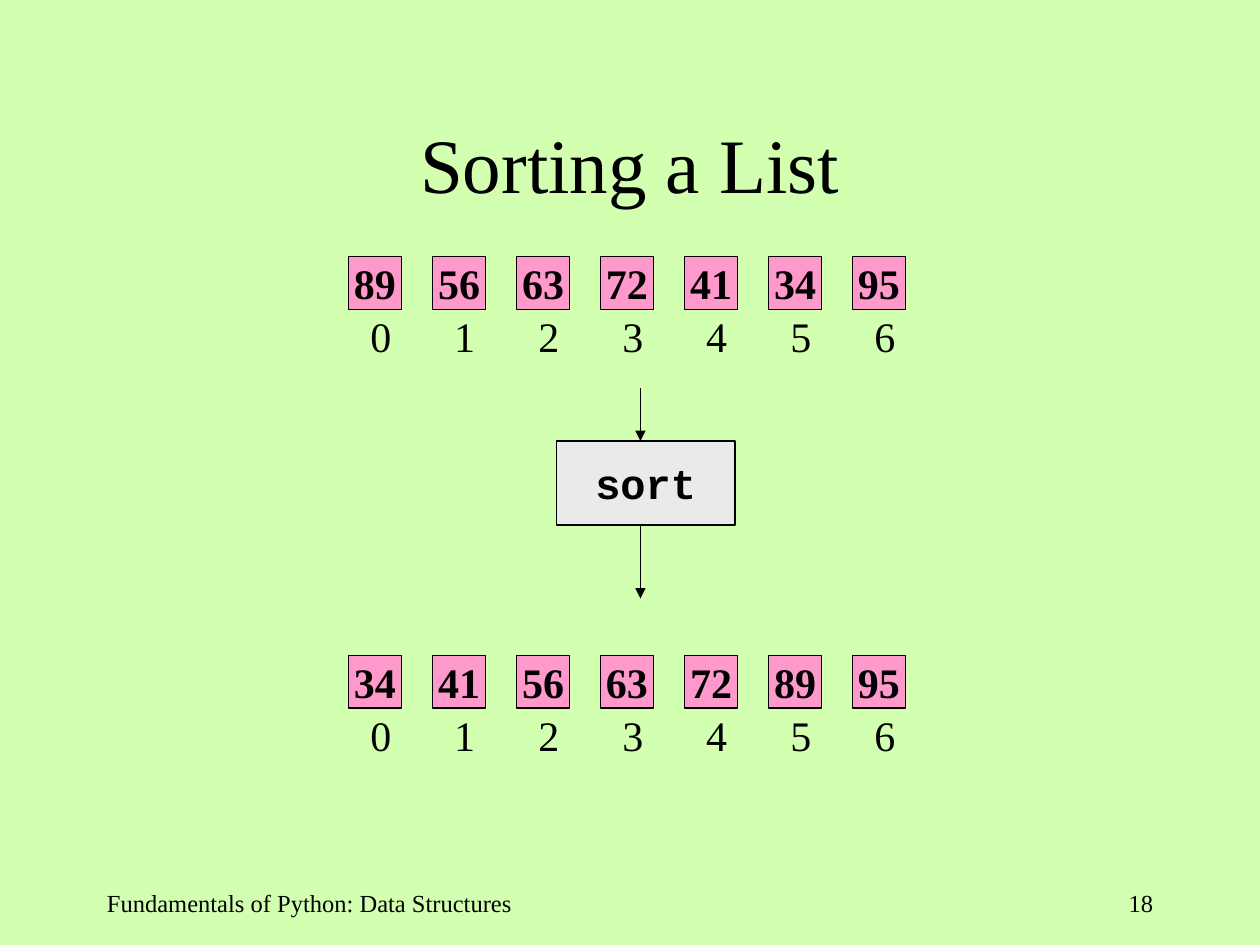
from dataclasses import dataclass

from lxml import etree
from pptx import Presentation
from pptx.dml.color import RGBColor
from pptx.enum.shapes import MSO_CONNECTOR, MSO_SHAPE
from pptx.enum.text import MSO_ANCHOR, PP_ALIGN
from pptx.oxml.ns import qn
from pptx.util import Pt

LEFT, CENTER, RIGHT = PP_ALIGN.LEFT, PP_ALIGN.CENTER, PP_ALIGN.RIGHT
TOP, MIDDLE = MSO_ANCHOR.TOP, MSO_ANCHOR.MIDDLE
RECTANGLE = MSO_SHAPE.RECTANGLE
STRAIGHT = MSO_CONNECTOR.STRAIGHT


@dataclass(frozen=True)
class Theme:
    background: RGBColor = RGBColor(0xD2, 0xFF, 0xB0)
    cell: RGBColor = RGBColor(0xFF, 0x99, 0xCC)
    function: RGBColor = RGBColor(0xEA, 0xEA, 0xEA)
    ink: RGBColor = RGBColor(0, 0, 0)
    serif: str = "Times New Roman"
    mono: str = "Courier New"
    title_size: float = 44
    body_size: float = 24
    footer_size: float = 14
    line_width: float = 0.75


@dataclass(frozen=True)
class Box:
    left: float
    top: float
    width: float
    height: float

    def lengths(self):
        return Pt(self.left), Pt(self.top), Pt(self.width), Pt(self.height)


@dataclass(frozen=True)
class ListRow:
    values: tuple[int, ...]
    top: float


@dataclass(frozen=True)
class Arrow:
    x: float
    start: float
    end: float


THEME = Theme()
ROW_LEFT, CELL_SIZE, CELL_PITCH = 199.2, 30.2, 48
INDEX_INDENT, INDEX_DROP = 5.3, 27.4

UNSORTED = (89, 56, 63, 72, 41, 34, 95)
ROWS = (
    ListRow(UNSORTED, 146.7),
    ListRow(tuple(sorted(UNSORTED)), 374.4),
)
SORT_BOX = Box(318, 252, 102, 48)
ARROWS = (Arrow(366, 222, 252), Arrow(366, 300, 342))


def write_text(sp, text: str, *, size: float = THEME.body_size, font: str = THEME.serif,
               bold: bool = False, align=LEFT, anchor=TOP, wrap: bool = True):
    tf = sp.text_frame
    tf.word_wrap = wrap
    tf.vertical_anchor = anchor
    p = tf.paragraphs[0]
    p.alignment = align
    r = p.add_run()
    r.text = text
    r.font.size = Pt(size)
    r.font.name = font
    r.font.bold = bold
    r.font.color.rgb = THEME.ink
    return p


def add_label(s, box: Box, text: str, **style):
    return write_text(s.shapes.add_textbox(*box.lengths()), text, **style)


def add_block(s, box: Box, text: str, fill: RGBColor, **style) -> None:
    """Draw an outlined rectangle with bold centred text."""
    sp = s.shapes.add_shape(RECTANGLE, *box.lengths())
    sp.shadow.inherit = False
    sp.fill.solid()
    sp.fill.fore_color.rgb = fill
    sp.line.color.rgb = THEME.ink
    sp.line.width = Pt(THEME.line_width)
    write_text(sp, text, bold=True, align=CENTER, anchor=MIDDLE, wrap=False, **style)


def add_tab_stops(p, count: int, pitch: float) -> None:
    tabs = etree.SubElement(p._p.get_or_add_pPr(), qn("a:tabLst"))
    for i in range(1, count + 1):
        etree.SubElement(tabs, qn("a:tab"), pos=str(Pt(i * pitch)), algn="l")


def add_list_row(s, row: ListRow) -> None:
    """Draw the cells of a list with the indexes beneath them."""
    count = len(row.values)
    for i, value in enumerate(row.values):
        cell = Box(ROW_LEFT + i * CELL_PITCH, row.top, CELL_SIZE, CELL_SIZE)
        add_block(s, cell, str(value), THEME.cell)
    indexes = Box(ROW_LEFT + INDEX_INDENT, row.top + INDEX_DROP, 320, 36)
    p = add_label(s, indexes, "\t".join(str(i) for i in range(count)))
    add_tab_stops(p, count - 1, CELL_PITCH)


def add_arrow(s, arrow: Arrow) -> None:
    line = s.shapes.add_connector(STRAIGHT, Pt(arrow.x), Pt(arrow.start),
                                  Pt(arrow.x), Pt(arrow.end))
    line.line.color.rgb = THEME.ink
    line.line.width = Pt(THEME.line_width)
    etree.SubElement(line.line._get_or_add_ln(), qn("a:tailEnd"),
                     type="triangle", w="med", len="med")
    etree.SubElement(line._element.spPr, qn("a:effectLst"))


def main() -> None:
    prs = Presentation()
    prs.slide_width, prs.slide_height = Pt(720), Pt(540)
    s = prs.slides.add_slide(prs.slide_layouts[6])
    s.background.fill.solid()
    s.background.fill.fore_color.rgb = THEME.background

    add_label(s, Box(54, 48, 612, 90), "Sorting a List",
              size=THEME.title_size, align=CENTER, anchor=MIDDLE)
    for row in ROWS:
        add_list_row(s, row)
    add_block(s, SORT_BOX, "sort", THEME.function, font=THEME.mono)
    for arrow in ARROWS:
        add_arrow(s, arrow)
    add_label(s, Box(54, 504, 270, 36), "Fundamentals of Python: Data Structures",
              size=THEME.footer_size)
    add_label(s, Box(516, 504, 150, 36), "18", size=THEME.footer_size, align=RIGHT)

    prs.save("out.pptx")


if __name__ == "__main__":
    main()
